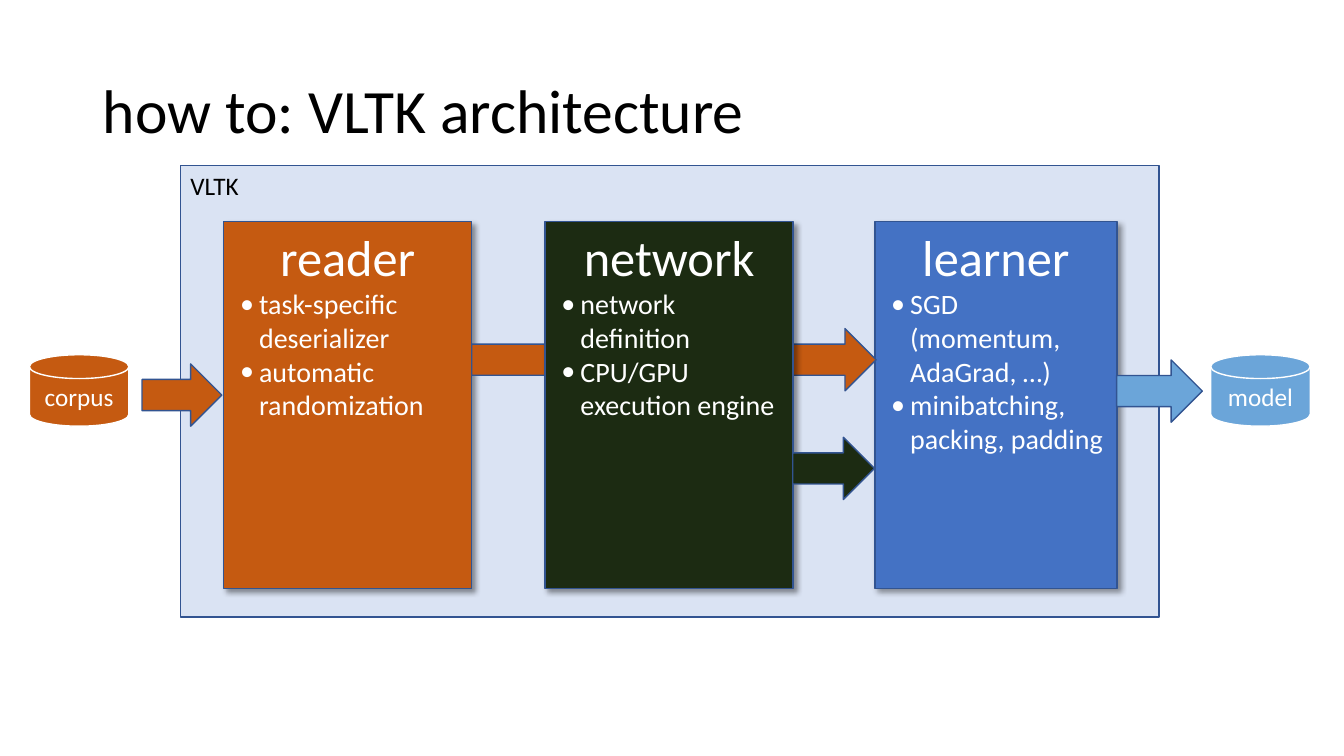
from dataclasses import dataclass

from lxml import etree
from pptx import Presentation
from pptx.dml.color import RGBColor
from pptx.enum.shapes import MSO_SHAPE
from pptx.enum.text import MSO_ANCHOR, PP_ALIGN
from pptx.oxml.ns import qn
from pptx.shapes.autoshape import Shape
from pptx.slide import Slide
from pptx.text.text import TextFrame
from pptx.util import Cm, Pt

RECT = MSO_SHAPE.RECTANGLE
DISK = MSO_SHAPE.FLOWCHART_MAGNETIC_DISK
ARROW = MSO_SHAPE.RIGHT_ARROW
TOP, MIDDLE = MSO_ANCHOR.TOP, MSO_ANCHOR.MIDDLE
LEFT, CENTER = PP_ALIGN.LEFT, PP_ALIGN.CENTER
TOOLKIT = "VLTK"


@dataclass(frozen=True)
class Theme:
    font: str = "Calibri"
    black: str = "000000"
    white: str = "FFFFFF"
    edge: str = "325491"
    pale: str = "DAE3F3"
    orange: str = "C55A11"
    green: str = "1C2B12"
    blue: str = "4472C4"
    sky: str = "6BA5D9"
    title: int = 44
    head: int = 36
    item: int = 20
    label: int = 18


THEME = Theme()


@dataclass(frozen=True)
class Box:
    left: float
    top: float
    width: float
    height: float

    def lengths(self) -> tuple[Cm, Cm, Cm, Cm]:
        return Cm(self.left), Cm(self.top), Cm(self.width), Cm(self.height)


@dataclass(frozen=True)
class Panel:
    left: float
    width: float
    fill: str
    head: str
    items: tuple[str, ...]


@dataclass(frozen=True)
class Arrow:
    left: float
    top: float
    width: float
    fill: str


@dataclass(frozen=True)
class Store:
    left: float
    fill: str
    label: str


READER = Panel(5.64, 6.25, THEME.orange, "reader",
               ("task-specific\vdeserializer", "automatic\vrandomization"))
NETWORK = Panel(13.74, 6.25, THEME.green, "network",
                ("network\vdefinition", "CPU/GPU\vexecution engine"))
LEARNER = Panel(22.05, 6.1, THEME.blue, "learner",
                ("SGD\v(momentum,\vAdaGrad, …)", "minibatching,\vpacking, padding"))
STORES = (Store(0.74, THEME.orange, "corpus"), Store(30.51, THEME.sky, "model"))
BACK = (Arrow(3.58, 9.17, 2.01, THEME.orange),
        Arrow(11.89, 8.28, 10.19, THEME.orange),
        Arrow(28.14, 9.07, 2.16, THEME.sky))
FRONT = Arrow(19.98, 11.02, 2.06, THEME.green)


def write(frame: TextFrame, text: str, *, size: int, color: str = THEME.white,
          align: PP_ALIGN = LEFT, anchor: MSO_ANCHOR = TOP, space: float = 1.0,
          bullet: bool = False, more: bool = False) -> None:
    frame.word_wrap = True
    frame.vertical_anchor = anchor
    para = frame.add_paragraph() if more else frame.paragraphs[0]
    para.text = text
    para.alignment = align
    para.line_spacing = space
    for run in para.runs:
        run.font.name = THEME.font
        run.font.size = Pt(size)
        run.font.color.rgb = RGBColor.from_string(color)
    if bullet:
        props = para._p.get_or_add_pPr()
        props.set("marL", str(Cm(0.64)))
        props.set("indent", str(Cm(-0.48)))
        etree.SubElement(props, qn("a:buFont"), typeface=THEME.font)
        etree.SubElement(props, qn("a:buChar"), char="•")


def draw(slide: Slide, kind: MSO_SHAPE, box: Box, fill: str,
         line: str = THEME.edge) -> Shape:
    shape = slide.shapes.add_shape(kind, *box.lengths())
    shape.shadow.inherit = False
    shape.fill.solid()
    shape.fill.fore_color.rgb = RGBColor.from_string(fill)
    shape.line.color.rgb = RGBColor.from_string(line)
    shape.line.width = Pt(1)
    return shape


def shade(shape: Shape) -> None:
    effects = shape._element.spPr.find(qn("a:effectLst"))
    outer = etree.SubElement(effects, qn("a:outerShdw"), blurRad=str(Pt(4)),
                             dist=str(Pt(3)), dir="2700000", algn="tl",
                             rotWithShape="0")
    color = etree.SubElement(outer, qn("a:srgbClr"), val=THEME.black)
    etree.SubElement(color, qn("a:alpha"), val="40000")


def draw_panel(slide: Slide, panel: Panel) -> None:
    shape = draw(slide, RECT, Box(panel.left, 5.58, panel.width, 9.25), panel.fill)
    shade(shape)
    write(shape.text_frame, panel.head, size=THEME.head, align=CENTER)
    for item in panel.items:
        write(shape.text_frame, item, size=THEME.item, bullet=True, more=True)


def draw_arrow(slide: Slide, arrow: Arrow) -> None:
    draw(slide, ARROW, Box(arrow.left, arrow.top, arrow.width, 1.57), arrow.fill)


def draw_store(slide: Slide, store: Store) -> None:
    shape = draw(slide, DISK, Box(store.left, 8.94, 2.51, 1.8), store.fill, THEME.white)
    write(shape.text_frame, store.label, size=THEME.label, align=CENTER, anchor=MIDDLE)


def main() -> None:
    deck = Presentation()
    deck.slide_width, deck.slide_height = Cm(33.87), Cm(19.05)
    slide = deck.slides.add_slide(deck.slide_layouts[6])

    title = slide.shapes.add_textbox(*Box(2.34, 1.02, 29.21, 3.68).lengths())
    write(title.text_frame, f"how to: {TOOLKIT} architecture", size=THEME.title,
          color=THEME.black, anchor=MIDDLE, space=0.9)
    frame = draw(slide, RECT, Box(4.55, 4.17, 24.66, 11.38), THEME.pale)
    write(frame.text_frame, TOOLKIT, size=THEME.label, color=THEME.black)

    for panel in (LEARNER, READER):
        draw_panel(slide, panel)
    for store in STORES:
        draw_store(slide, store)
    for arrow in BACK:
        draw_arrow(slide, arrow)
    draw_panel(slide, NETWORK)
    draw_arrow(slide, FRONT)
    deck.save("out.pptx")


if __name__ == "__main__":
    main()
